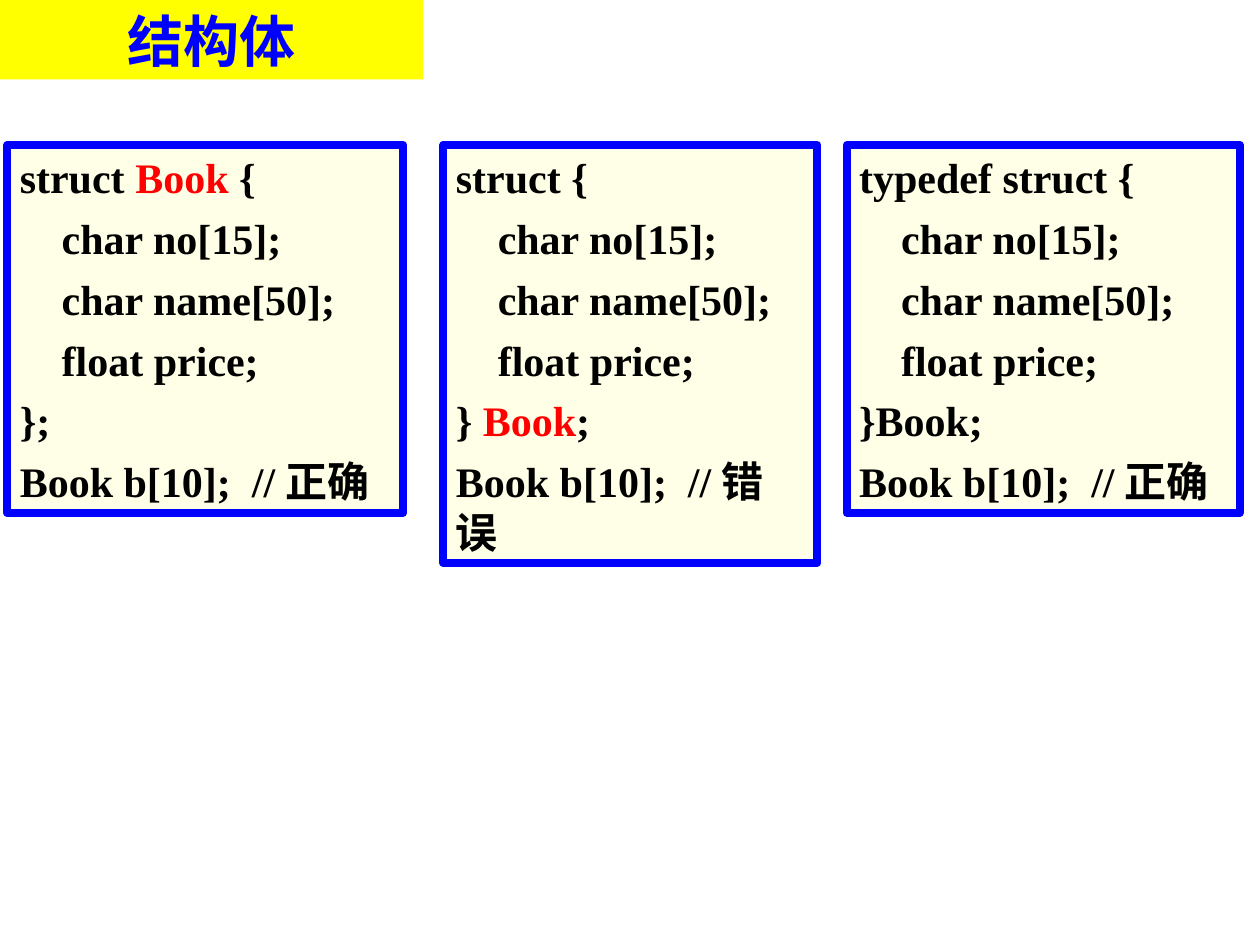
from dataclasses import dataclass

from pptx import Presentation
from pptx.dml.color import RGBColor
from pptx.enum.shapes import MSO_SHAPE
from pptx.enum.text import MSO_ANCHOR, MSO_AUTO_SIZE, PP_ALIGN
from pptx.util import Cm, Pt


@dataclass(frozen=True)
class Theme:
    font: str = "Times New Roman"
    blue: RGBColor = RGBColor(0x00, 0x00, 0xFF)
    yellow: RGBColor = RGBColor(0xFF, 0xFF, 0x00)
    cream: RGBColor = RGBColor(0xFF, 0xFF, 0xE7)
    black: RGBColor = RGBColor(0x00, 0x00, 0x00)
    red: RGBColor = RGBColor(0xFF, 0x00, 0x00)
    title_size: int = 32
    code_size: int = 24
    border: float = 4.5


THEME = Theme()
MARK = "|"  # encloses the highlighted name in a code line
PANEL_TOP = 2.92

FIELDS = ["    char no[15];", "    char name[50];", "    float price;"]
# left, width, height, first line, closing line, verdict
DECLARATIONS = [
    (0.15, 7.98, 7.42, "struct |Book| {", "};", "正确"),
    (8.94, 7.54, 8.43, "struct {", "} |Book|;", "错误"),
    (17.07, 7.92, 7.42, "typedef struct {", "}Book;", "正确"),
]


def apply_format(target, values):
    for name, value in values.items():
        setattr(target, name, value)


def add_run(paragraph, text, size, color):
    run = paragraph.add_run()
    run.text = text
    apply_format(run.font, {"name": THEME.font, "size": Pt(size), "bold": True})
    run.font.color.rgb = color


def set_frame(frame, anchor, auto_size):
    apply_format(frame, {
        "word_wrap": True, "auto_size": auto_size, "vertical_anchor": anchor,
        "margin_left": Cm(0.25), "margin_right": Cm(0.25),
        "margin_top": Cm(0.13), "margin_bottom": Cm(0.13),
    })


def format_title(title, text):
    apply_format(title, {"left": Cm(0), "top": Cm(0),
                         "width": Cm(8.53), "height": Cm(1.6)})
    title.fill.solid()
    title.fill.fore_color.rgb = THEME.yellow
    set_frame(title.text_frame, MSO_ANCHOR.MIDDLE, MSO_AUTO_SIZE.NONE)
    heading = title.text_frame.paragraphs[0]
    heading.alignment = PP_ALIGN.CENTER
    add_run(heading, text, THEME.title_size, THEME.blue)


def add_code_panel(slide, left, width, height, lines):
    panel = slide.shapes.add_shape(
        MSO_SHAPE.RECTANGLE, Cm(left), Cm(PANEL_TOP), Cm(width), Cm(height))
    panel.shadow.inherit = False
    panel.fill.solid()
    panel.fill.fore_color.rgb = THEME.cream
    panel.line.color.rgb = THEME.blue
    panel.line.width = Pt(THEME.border)

    frame = panel.text_frame
    set_frame(frame, MSO_ANCHOR.TOP, MSO_AUTO_SIZE.SHAPE_TO_FIT_TEXT)
    for row, line in enumerate(lines):
        paragraph = frame.add_paragraph() if row else frame.paragraphs[0]
        apply_format(paragraph, {
            "alignment": PP_ALIGN.LEFT,
            "line_spacing": Pt(1.2 * THEME.code_size),
            "space_before": Pt(6 if row else 0),
        })
        for part, text in enumerate(line.split(MARK)):
            if text:
                color = THEME.red if part % 2 else THEME.black
                add_run(paragraph, text, THEME.code_size, color)


def main():
    prs = Presentation()
    apply_format(prs, {"slide_width": Cm(25.4), "slide_height": Cm(19.05)})
    slide = prs.slides.add_slide(prs.slide_layouts[5])

    # Heading
    format_title(slide.shapes.title, "结构体")

    # Three ways to declare the structure
    for left, width, height, opening, closing, verdict in DECLARATIONS:
        usage = f"Book b[10];  //{verdict}"
        add_code_panel(slide, left, width, height,
                       [opening, *FIELDS, closing, usage])

    prs.save("out.pptx")


if __name__ == "__main__":
    main()
